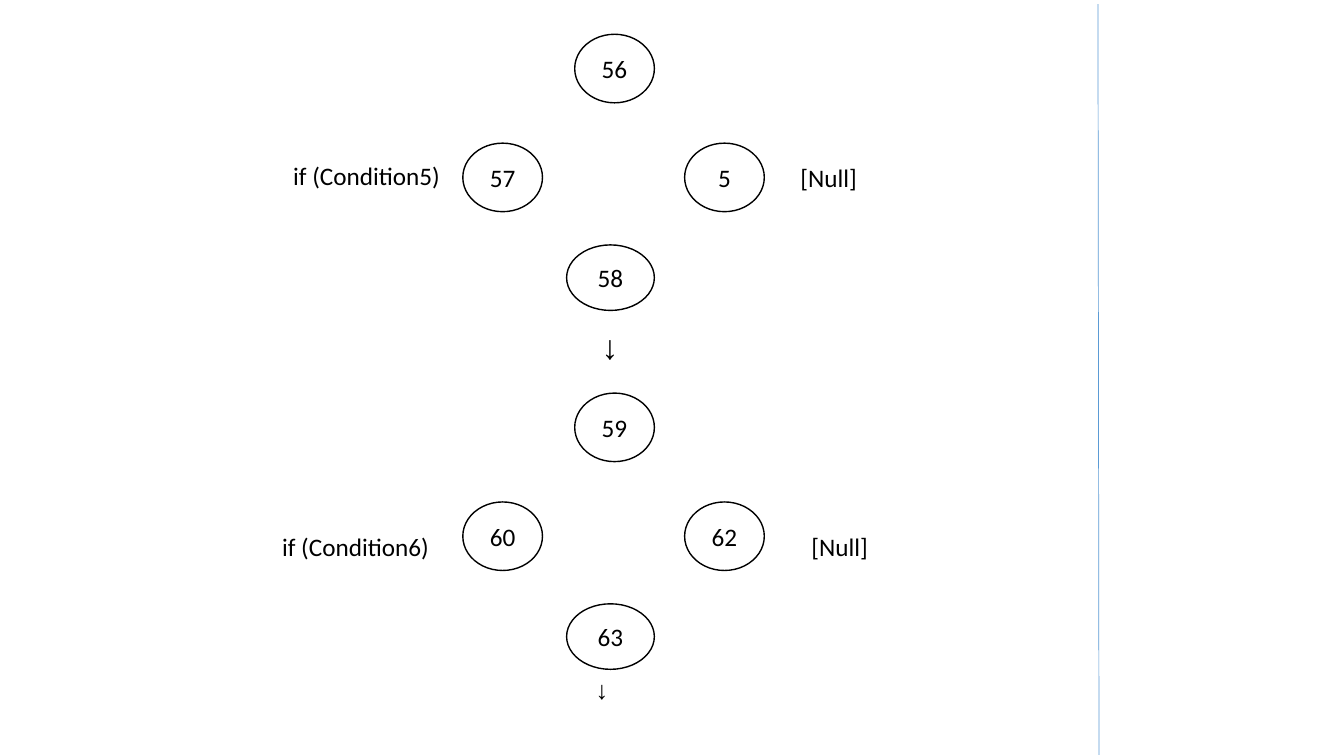
"""Build a slide with two branching control-flow diamonds."""
import pptx
import pptx.util
import pptx.dml.color
import pptx.enum.shapes
import pptx.enum.text
import pptx.oxml.ns
import lxml.etree

BLACK = pptx.dml.color.RGBColor(0, 0, 0)
WHITE = pptx.dml.color.RGBColor(255, 255, 255)
BLUE = pptx.dml.color.RGBColor(0x5B, 0x9B, 0xD5)
PX = 9144
STEP = 356


def scale(*sizes):
    return [size * PX for size in sizes]


def write(shape, text, size=18, face="Calibri"):
    para = shape.text_frame.paragraphs[0]
    run = para.add_run()
    run.text = text
    style = {"name": face, "size": pptx.util.Pt(size)}
    for key, value in style.items():
        setattr(run.font, key, value)
    run.font.color.rgb = BLACK
    return para


deck = pptx.Presentation()
deck.slide_width, deck.slide_height = scale(1333, 750)
slide = deck.slides.add_slide(deck.slide_layouts[6])
shapes = slide.shapes

spots = [(570, 34, 79, 68), (459, 142, 79, 68),
         (679, 142, 79, 68), (562, 243, 87, 65)]
groups = [("56", "57", "5", "58"), ("59", "60", "62", "63")]
for row, group in enumerate(groups):
    for label, (left, top, width, height) in zip(group, spots):
        node = shapes.add_shape(pptx.enum.shapes.MSO_SHAPE.OVAL,
                                *scale(left, top + row * STEP, width, height))
        node.shadow.inherit = False
        node.fill.solid()
        node.fill.fore_color.rgb = WHITE
        node.line.color.rgb = BLACK
        node.line.width = pptx.util.Pt(1)
        node.text_frame.vertical_anchor = pptx.enum.text.MSO_ANCHOR.MIDDLE
        para = write(node, label)
        para.alignment = pptx.enum.text.PP_ALIGN.CENTER

notes = [
    ("↓", 587, 318, 37, 50, 24, "Arial", True),
    ("↓", 581, 664, 33, 40, 18, "Arial", False),
    ("if (Condition5)", 281, 154, 166, 40, 18, "Calibri", False),
    ("if (Condition6)", 270, 522, 166, 40, 18, "Calibri", False),
    ("[Null]", 784, 156, 76, 40, 18, "Calibri", False),
    ("[Null]", 795, 522, 76, 40, 18, "Calibri", False),
]
for text, left, top, width, height, size, face, wrap in notes:
    box = shapes.add_textbox(*scale(left, top, width, height))
    frame = {"word_wrap": wrap,
             "auto_size": pptx.enum.text.MSO_AUTO_SIZE.SHAPE_TO_FIT_TEXT}
    for key, value in frame.items():
        setattr(box.text_frame, key, value)
    write(box, text, size, face)

rule = shapes.add_connector(pptx.enum.shapes.MSO_CONNECTOR.STRAIGHT,
                            *scale(1089, 4, 1090, 749))
rule.line.color.rgb = BLUE
rule.line.width = pptx.util.Pt(0.5)
lxml.etree.SubElement(rule._element.spPr, pptx.oxml.ns.qn("a:effectLst"))

deck.save("out.pptx")
